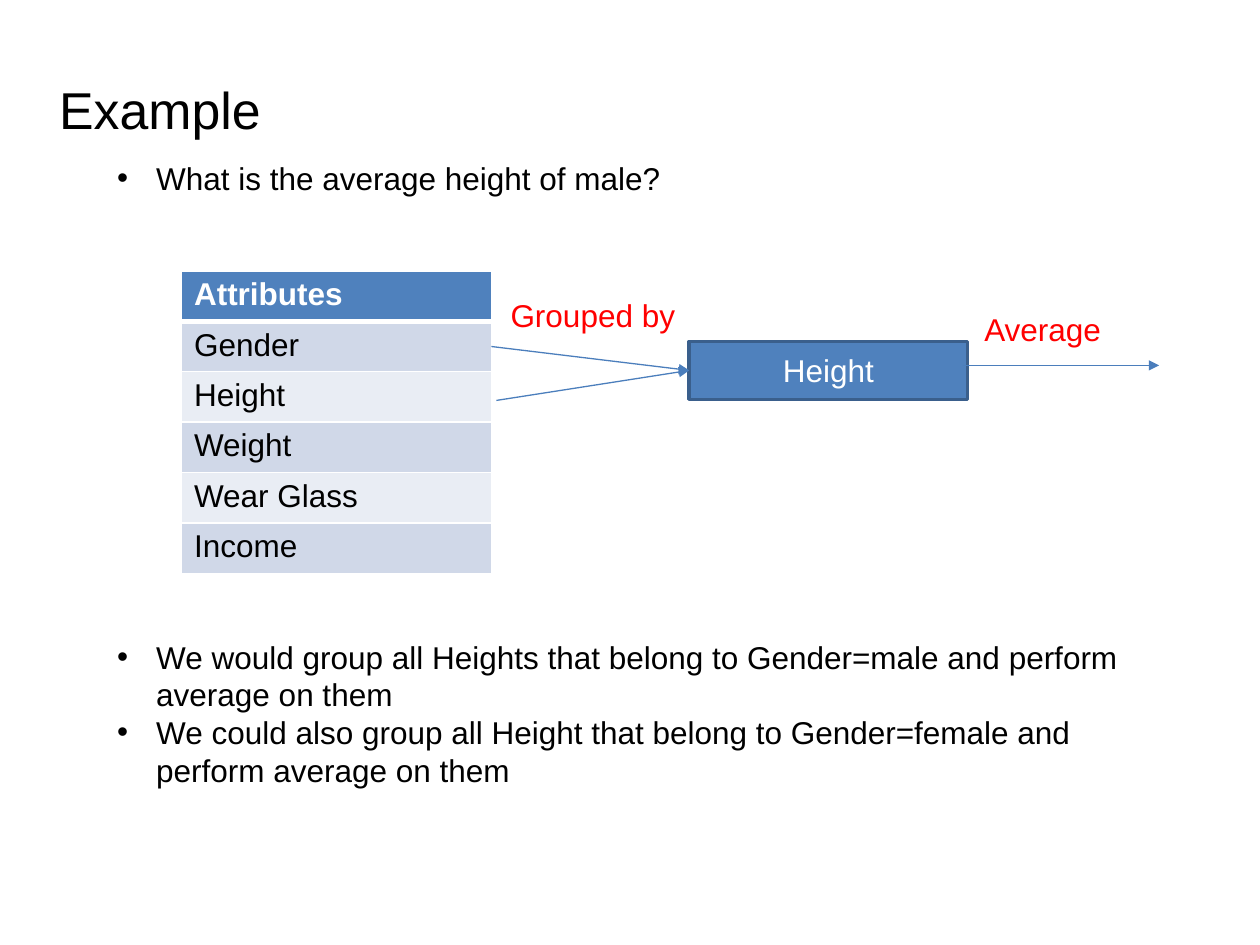
from lxml import etree
from pptx import Presentation
from pptx.dml.color import RGBColor
from pptx.enum.shapes import MSO_CONNECTOR, MSO_SHAPE
from pptx.enum.text import MSO_ANCHOR, MSO_AUTO_SIZE, PP_ALIGN
from pptx.oxml.ns import qn
from pptx.util import Inches, Pt

RECTANGLE, STRAIGHT = MSO_SHAPE.RECTANGLE, MSO_CONNECTOR.STRAIGHT
TOP, MIDDLE = MSO_ANCHOR.TOP, MSO_ANCHOR.MIDDLE
LEFT, CENTER = PP_ALIGN.LEFT, PP_ALIGN.CENTER
NO_AUTOFIT = MSO_AUTO_SIZE.NONE

FONT, BODY_SIZE = "Arial", 18
BLACK, WHITE, RED = "000000", "FFFFFF", "FF0000"
BLUE, DARK_BLUE, ARROW_BLUE = "4F81BD", "3A5F8C", "4B7EBC"
BANDS = ("D0D8E8", "E9EDF4")
LEFT_SIDE = 1

ATTRIBUTES = ["Attributes", "Gender", "Height", "Weight", "Wear Glass", "Income"]
QUESTION = ["What is the average height of male?"]
CONCLUSIONS = [
    "We would group all Heights that belong to Gender=male and perform average on them",
    "We could also group all Height that belong to Gender=female and perform average on them",
]


def color(value):
    return RGBColor.from_string(value)


def inches(values):
    return [Inches(value) for value in values]


def place(shape, box):
    shape.left, shape.top, shape.width, shape.height = inches(box)


def style_text(frame, ink=BLACK, size=BODY_SIZE, align=LEFT, bold=False):
    for paragraph in frame.paragraphs:
        paragraph.alignment = align
        for run in paragraph.runs:
            run.font.name, run.font.size, run.font.bold = FONT, Pt(size), bold
            run.font.color.rgb = color(ink)


def add_heading(slide, box, text):
    heading = slide.shapes.title
    place(heading, box)
    frame = heading.text_frame
    frame.text = text
    frame.vertical_anchor, frame.auto_size = TOP, NO_AUTOFIT
    frame.paragraphs[0].space_before = Pt(3)
    style_text(frame, size=29.6)


def fill_list(placeholder, box, items):
    place(placeholder, box)
    frame = placeholder.text_frame
    frame.text = "\n".join(items)
    frame.vertical_anchor, frame.auto_size = TOP, NO_AUTOFIT
    style_text(frame)
    for paragraph in frame.paragraphs:
        paragraph.space_before = Pt(0)
        properties = paragraph._p.get_or_add_pPr()
        properties.set("marL", str(Inches(0.31)))
        properties.set("indent", str(-Inches(0.31)))
        etree.SubElement(properties, qn("a:buFont"), typeface=FONT)
        etree.SubElement(properties, qn("a:buChar"), char="•")


def set_borders(cell, bottom):
    """Draw white borders, the lower one with its own width in points."""
    properties = cell._tc.get_or_add_tcPr()
    widths = {"a:lnL": 1, "a:lnR": 1, "a:lnT": 1, "a:lnB": bottom}
    for position, (tag, width) in enumerate(widths.items()):
        border = etree.Element(qn(tag), w=str(Pt(width)))
        fill = etree.SubElement(border, qn("a:solidFill"))
        etree.SubElement(fill, qn("a:srgbClr"), val=WHITE)
        properties.insert(position, border)


def add_attribute_table(slide, box, names):
    table = slide.shapes.add_table(len(names), 1, *inches(box)).table
    for index, name in enumerate(names):
        header = index == 0
        cell = table.cell(index, 0)
        cell.text = name
        cell.fill.solid()
        cell.fill.fore_color.rgb = color(BLUE if header else BANDS[(index - 1) % 2])
        style_text(cell.text_frame, WHITE if header else BLACK, bold=header)
        set_borders(cell, 3 if header or index == 0 else 1)


def add_centered_text(shape, text, ink):
    frame = shape.text_frame
    frame.word_wrap = True
    frame.vertical_anchor = MIDDLE
    frame.text = text
    style_text(frame, ink, align=CENTER)


def add_label(slide, box, text):
    add_centered_text(slide.shapes.add_textbox(*inches(box)), text, RED)


def add_node(slide, box, text):
    node = slide.shapes.add_shape(RECTANGLE, *inches(box))
    node.shadow.inherit = False
    node.fill.solid()
    node.fill.fore_color.rgb = color(BLUE)
    node.line.color.rgb = color(DARK_BLUE)
    node.line.width = Pt(2)
    add_centered_text(node, text, WHITE)
    return node


def add_arrow(slide, start, end, target=None):
    arrow = slide.shapes.add_connector(STRAIGHT, *inches(start + end))
    if target is not None:
        arrow.end_connect(target, LEFT_SIDE)
    arrow.line.color.rgb = color(ARROW_BLUE)
    arrow.line.width = Pt(0.75)
    etree.SubElement(arrow.line._get_or_add_ln(), qn("a:tailEnd"), type="triangle")
    etree.SubElement(arrow._element.spPr, qn("a:effectLst"))


def add_flow(slide, box):
    """Lay out the attribute table, the grouped value and its result."""
    left, top, width, height = box
    table_width, row = 2.46, height / len(ATTRIBUTES)
    node_width, node_height = 2.21, 0.46
    node_left, node_top = left + 4.03, top + 0.56
    table_right = left + table_width
    node_middle = node_top + node_height / 2

    add_attribute_table(slide, (left, top, table_width, height), ATTRIBUTES)
    node = add_node(slide, (node_left, node_top, node_width, node_height), "Height")
    for start in ((table_right, top + 1.5 * row), (table_right + 0.04, top + 2.57 * row)):
        add_arrow(slide, start, (node_left, node_middle), node)
    result_y = top + 0.75
    add_arrow(slide, (node_left + node_width - 0.04, result_y), (left + width, result_y))
    add_label(slide, (left + 2.16, top + 0.12, node_width, node_height), "Grouped by")
    add_label(slide, (left + 5.73, top + 0.23, node_width, node_height), "Average")


def main():
    deck = Presentation()
    deck.slide_width, deck.slide_height = inches((10, 7.5))
    slide = deck.slides.add_slide(deck.slide_layouts.get_by_name("Two Content"))
    question, conclusions = slide.placeholders[1], slide.placeholders[2]
    add_heading(slide, (0.37, 0.57, 9.29, 0.5), "Example")
    fill_list(question, (0.83, 1.21, 8.38, 0.4), QUESTION)
    add_flow(slide, (1.44, 2.15, 7.76, 2.4))
    fill_list(conclusions, (0.83, 5.01, 8.38, 1.62), CONCLUSIONS)
    deck.save("out.pptx")


if __name__ == "__main__":
    main()
